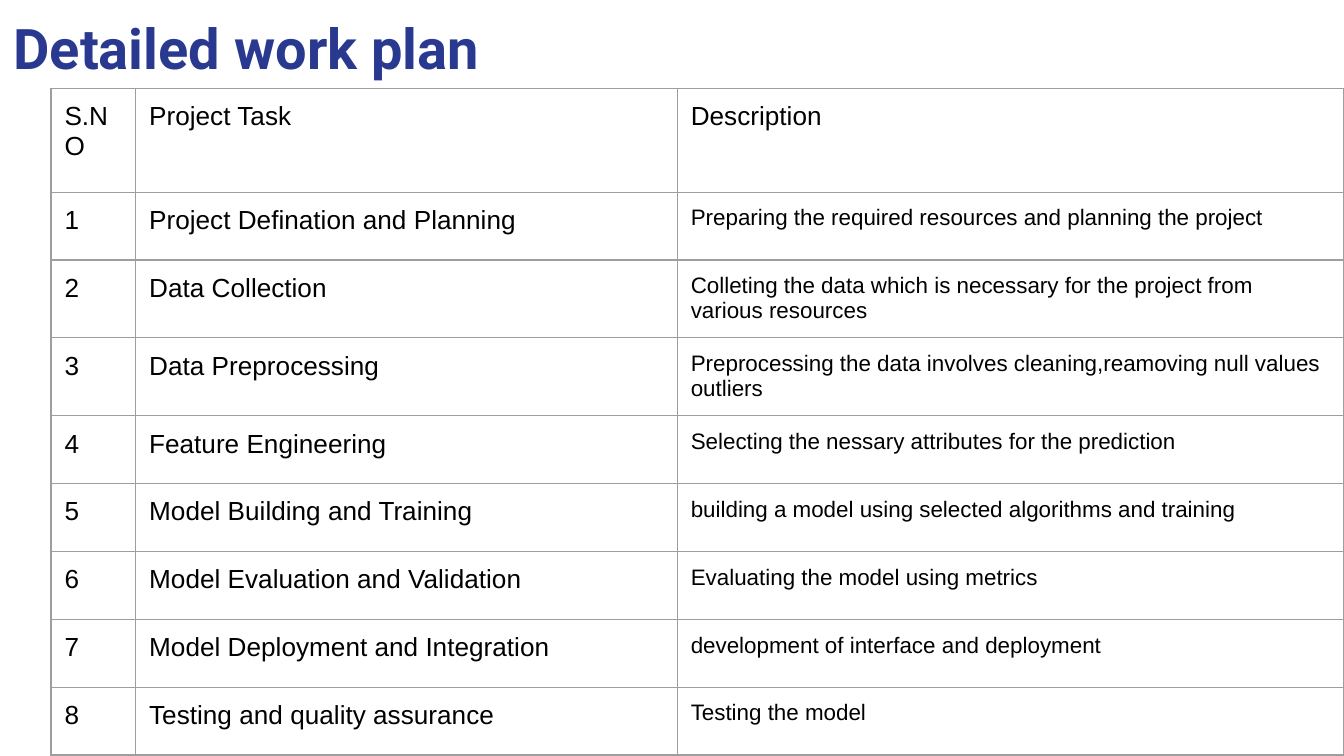
from lxml.etree import SubElement
from pptx import Presentation
from pptx.dml.color import RGBColor
from pptx.enum.text import MSO_ANCHOR, PP_ALIGN
from pptx.oxml.ns import qn
from pptx.util import Inches, Pt

# Content
TITLE = "Detailed work plan"
HEAD = ("S.NO", "Project Task", "Description")
TASKS = [
    ("Project Defination and Planning",
     "Preparing the required resources and planning the project"),
    ("Data Collection",
     "Colleting the data which is necessary for the project from various resources"),
    ("Data Preprocessing",
     "Preprocessing the data involves cleaning,reamoving null values outliers"),
    ("Feature Engineering",
     "Selecting the nessary attributes for the prediction"),
    ("Model Building and Training",
     "building a model using selected algorithms and training"),
    ("Model Evaluation and Validation", "Evaluating the model using metrics"),
    ("Model Deployment and Integration", "development of interface and deployment"),
    ("Testing and quality assurance", "Testing the model"),
]
COLS = (0.63, 4.03, 4.96)
TOP, BOTTOM = 0.66, 5.62
HEAD_H, TALL_H = 0.77, 0.58
TALL = (2, 3)  # rows whose description takes two lines
# The other rows share the space that is left
ROW_H = (BOTTOM - TOP - HEAD_H - TALL_H * len(TALL)) / (len(TASKS) - len(TALL))
PAD = Inches(0.1)


def style(para, font, size, color, bold=False):
    for run in para.runs:
        run.font.name = font
        run.font.size = Pt(size)
        run.font.bold = bold
        run.font.color.rgb = RGBColor.from_string(color)


def pad(item):
    item.margin_left = item.margin_right = PAD
    item.margin_top = item.margin_bottom = PAD


def border(cell, color, width):
    props = cell._tc.get_or_add_tcPr()
    for i, side in enumerate(("lnL", "lnR", "lnT", "lnB")):
        line = props.makeelement(qn("a:" + side), {"w": str(Pt(width))})
        fill = SubElement(line, qn("a:solidFill"))
        SubElement(fill, qn("a:srgbClr"), val=color)
        props.insert(i, line)  # borders come before the fill


# Slide, 16:9
deck = Presentation()
deck.slide_width = Inches(10)
deck.slide_height = Inches(10 * 9 / 16)
slide = deck.slides.add_slide(deck.slide_layouts[5])

# Title
title = slide.shapes.title
title.left, title.top = Inches(0), Inches(0)
title.width, title.height = Inches(9.32), Inches(0.66)
frame = title.text_frame
frame.text = TITLE
frame.word_wrap = True
frame.vertical_anchor = MSO_ANCHOR.TOP
pad(frame)
para = frame.paragraphs[0]
para.alignment = PP_ALIGN.LEFT
para.line_spacing = 1.0
style(para, "Roboto", 30, "2A3990", True)

# Table
rows = [HEAD] + [(str(n), *task) for n, task in enumerate(TASKS, 1)]
highs = [HEAD_H] + [TALL_H if n in TALL else ROW_H for n in range(1, len(rows))]
table = slide.shapes.add_table(
    len(rows), len(COLS), Inches(0.38), Inches(TOP),
    Inches(sum(COLS)), Inches(sum(highs))).table
table.first_row = table.horz_banding = False
for col, wide in zip(table.columns, COLS):
    col.width = Inches(wide)
for r, (row, high) in enumerate(zip(rows, highs)):
    table.rows[r].height = Inches(high)
    for c, text in enumerate(row):
        cell = table.cell(r, c)
        cell.text_frame.text = text
        pad(cell)
        cell.fill.background()
        border(cell, "9E9E9E", 0.75)
        size = 12 if r and c == 2 else 14
        style(cell.text_frame.paragraphs[0], "Arial", size, "000000")

deck.save("out.pptx")
